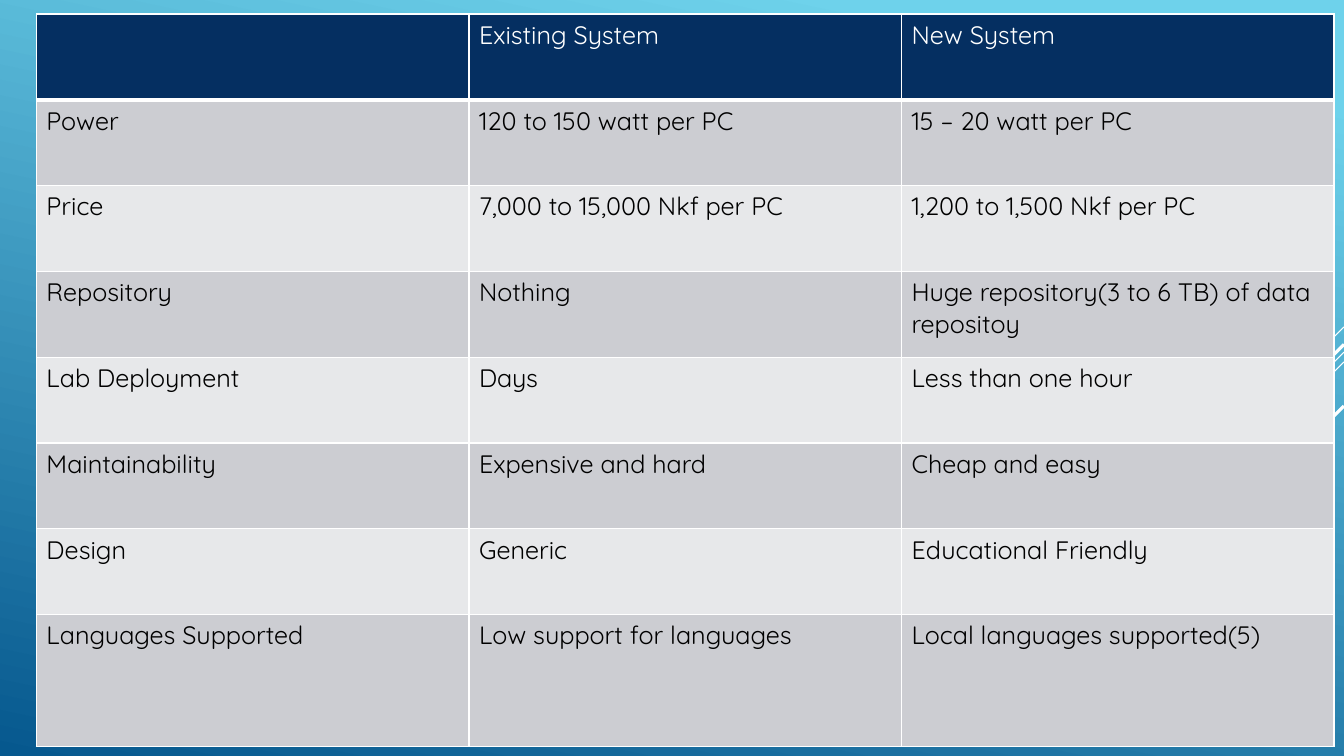
from lxml.etree import SubElement
from pptx import Presentation
from pptx.dml.color import RGBColor
from pptx.enum.shapes import MSO_CONNECTOR as Connector
from pptx.oxml.ns import qn
from pptx.util import Pt

PX = 6350
WIDTH, HEIGHT = 1920, 1080

SKY = RGBColor(0x6E, 0xD2, 0xEB)
OCEAN = RGBColor(0x06, 0x58, 0x8E)
NAVY = RGBColor(0x05, 0x2F, 0x61)
GREY = RGBColor(0xCC, 0xCD, 0xD2)
PALE = RGBColor(0xE7, 0xE8, 0xEA)
WHITE = RGBColor(0xFF, 0xFF, 0xFF)
BLACK = RGBColor(0x00, 0x00, 0x00)

STRIPES = [(467, 144, 0.75), (503, 469, 0.75), (517, 298, 0.75), (492, 275, 2.25), (580, 200, 2.25)]
COMPARISON = [
    ("", "Existing System", "New System"),
    ("Power", "120 to 150 watt per PC", "15 – 20 watt per PC"),
    ("Price", "7,000 to 15,000 Nkf per PC", "1,200 to 1,500 Nkf per PC"),
    ("Repository", "Nothing", "Huge repository(3 to 6 TB) of data repositoy"),
    ("Lab Deployment", "Days", "Less than one hour"),
    ("Maintainability", "Expensive and hard", "Cheap and easy"),
    ("Design", "Generic", "Educational Friendly"),
    ("Languages Supported", "Low support for languages", "Local languages supported(5)"),
]


def px(length):
    """Turn a length in px into EMU."""
    return round(length * PX)


def paint_background(slide):
    """Fill the slide with a sloping blue gradient."""
    fill = slide.background.fill
    fill.gradient()
    fill.gradient_angle = 258
    for stop, color, position in zip(fill.gradient_stops, (SKY, OCEAN), (0.1, 1)):
        stop.color.rgb = color
        stop.position = position


def draw_stripes(slide, right):
    """Draw diagonal stripes that fall leftwards from the right edge."""
    for top, run, weight in STRIPES:
        ends = (right, top, right - run, top + run)
        stripe = slide.shapes.add_connector(Connector.STRAIGHT, *map(px, ends))
        stripe.line.color.rgb = WHITE
        stripe.line.width = Pt(weight)
        SubElement(stripe._element.spPr, qn("a:effectLst"))


def add_borders(cell, bottom):
    """Give a cell white borders, with its own weight at the bottom."""
    properties = cell._tc.get_or_add_tcPr()
    for side, weight in {"L": 1, "R": 1, "T": 1, "B": bottom}.items():
        border = SubElement(properties, qn(f"a:ln{side}"), w=str(Pt(weight)))
        fill = SubElement(border, qn("a:solidFill"))
        SubElement(fill, qn("a:srgbClr"), val=str(WHITE))


def format_cell(cell, text, row_index):
    """Write the text of a cell and style it as header or body."""
    header = row_index == 0
    add_borders(cell, 3 if header else 1)
    cell.fill.solid()
    cell.fill.fore_color.rgb = NAVY if header else (PALE, GREY)[row_index % 2]
    cell.text = text
    font = cell.text_frame.paragraphs[0].font
    for name, value in {"name": "Quicksand", "size": Pt(18), "bold": False}.items():
        setattr(font, name, value)
    font.color.rgb = WHITE if header else BLACK


def draw_comparison(slide, left, top, width, height, last_height):
    """Place the comparison table in its box, with a taller last row."""
    row_count, column_count = len(COMPARISON), len(COMPARISON[0])
    box = map(px, (left, top, width, height))
    table = slide.shapes.add_table(row_count, column_count, *box).table
    for column in table.columns:
        column.width = px(width / column_count)
    for row in table.rows:
        row.height = px((height - last_height) / (row_count - 1))
    table.rows[row_count - 1].height = px(last_height)
    for row_index, texts in enumerate(COMPARISON):
        for column_index, text in enumerate(texts):
            format_cell(table.cell(row_index, column_index), text, row_index)


def main():
    """Build the slide and save it."""
    presentation = Presentation()
    presentation.slide_width = px(WIDTH)
    presentation.slide_height = px(HEIGHT)
    slide = presentation.slides.add_slide(presentation.slide_layouts[6])
    paint_background(slide)
    draw_stripes(slide, WIDTH)
    draw_comparison(slide, 52, 20, 1854, 1047, 189)
    presentation.save("out.pptx")


if __name__ == "__main__":
    main()
